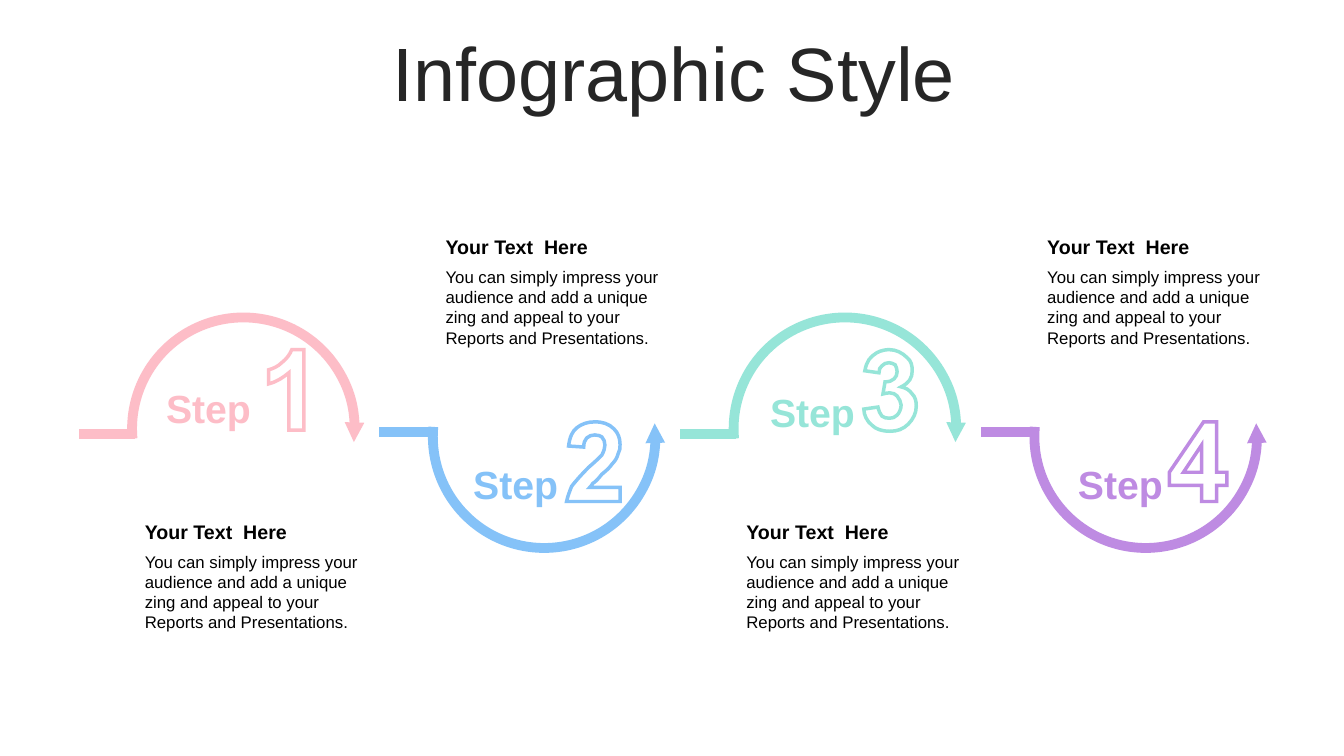
from lxml.etree import Element, SubElement
from pptx import Presentation
from pptx.dml.color import RGBColor
from pptx.enum.shapes import MSO_CONNECTOR as Connector, MSO_SHAPE as Shape
from pptx.enum.text import MSO_ANCHOR as Anchor, MSO_AUTO_SIZE as AutoSize, PP_ALIGN as Align
from pptx.oxml.ns import qn
from pptx.util import Cm, Pt

PITCH = 7.58
ARC_SIZE = 5.61
GLYPH_UNIT = Cm(0.0254)
HEADING = "Your Text  Here"
BODY = ("You can simply impress your audience and add a unique zing "
        "and appeal to your Reports and Presentations.")

ONE = [[(23, 0), (35, 0), (35, 80), (20, 80), (20, 23), (14, 28, 8, 32, 0, 34),
        (0, 20), (4, 19, 9, 17, 13, 13), (18, 9, 21, 5, 23, 0)]]
TWO = [[(28, 0), (36, 0, 42, 2, 47, 7), (51, 11, 53, 16, 53, 22),
        (53, 26, 53, 29, 51, 32), (50, 36, 48, 39, 45, 42),
        (43, 45, 40, 48, 35, 52), (31, 57, 28, 60, 26, 61),
        (25, 63, 24, 64, 23, 65), (53, 65), (53, 79), (0, 79),
        (1, 74, 3, 69, 5, 64), (8, 60, 14, 53, 22, 45),
        (29, 39, 33, 35, 35, 33), (37, 29, 38, 26, 38, 23),
        (38, 20, 37, 17, 35, 15), (34, 14, 31, 13, 28, 13),
        (25, 13, 22, 14, 20, 16), (18, 18, 17, 21, 17, 25), (2, 24),
        (3, 15, 6, 9, 10, 6), (15, 2, 21, 0, 28, 0)]]
THREE = [[(25, 0), (32, 0, 38, 3, 43, 8), (47, 11, 48, 16, 48, 21),
          (48, 28, 45, 33, 37, 37), (42, 38, 45, 40, 48, 44),
          (51, 47, 52, 51, 52, 56), (52, 63, 49, 69, 44, 74),
          (39, 79, 33, 81, 26, 81), (18, 81, 12, 79, 8, 75),
          (3, 71, 0, 65, 0, 59), (14, 57), (15, 61, 16, 64, 18, 66),
          (20, 68, 23, 68, 25, 68), (29, 68, 31, 67, 33, 65),
          (35, 63, 37, 59, 37, 55), (37, 52, 35, 49, 33, 46),
          (31, 44, 29, 43, 26, 43), (24, 43, 22, 43, 19, 44), (21, 32),
          (25, 32, 28, 31, 30, 29), (32, 27, 33, 25, 33, 22),
          (33, 19, 32, 17, 31, 15), (29, 14, 27, 13, 25, 13),
          (22, 13, 20, 14, 18, 16), (16, 17, 15, 20, 15, 23), (1, 21),
          (2, 16, 3, 13, 5, 10), (7, 7, 10, 5, 13, 3), (17, 1, 21, 0, 25, 0)]]
FOUR = [[(32, 23), (14, 50), (32, 50)],
        [(34, 0), (47, 0), (47, 50), (57, 50), (57, 63), (47, 63), (47, 79),
         (32, 79), (32, 63), (0, 63), (0, 50)]]

STEPS = [
    ("FDBDC7", ONE, (6.77, 8.81), (3.91, 9.55)),
    ("85C2F8", TWO, (14.28, 10.63), (11.65, 11.46)),
    ("96E5D8", THREE, (21.77, 8.81), (19.13, 9.65)),
    ("BE8BE2", FOUR, (29.47, 10.63), (26.89, 11.46)),
]


def color(value):
    return RGBColor.from_string(value)


def curve(values):
    element = Element(qn("a:cubicBezTo"))
    for x, y in zip(values[::2], values[1::2]):
        SubElement(element, qn("a:pt"), x=str(x), y=str(y))
    return element


class Canvas:
    font = "Arial"
    track_width = 7
    digit_width = 2.5

    def __init__(self, slide):
        self.slide = slide

    def stroke(self, shape, stroke_color, width):
        shape.line.color.rgb = color(stroke_color)
        shape.line.width = Pt(width)

    def text(self, left, top, width, height, content, size, text_color="000000",
             bold=False, align=Align.LEFT, anchor=Anchor.TOP, wrap=True, grow=True):
        box = self.slide.shapes.add_textbox(Cm(left), Cm(top), Cm(width), Cm(height))
        frame = box.text_frame
        frame.word_wrap = wrap
        frame.auto_size = AutoSize.SHAPE_TO_FIT_TEXT if grow else AutoSize.NONE
        frame.vertical_anchor = anchor
        paragraph = frame.paragraphs[0]
        paragraph.alignment = align
        run = paragraph.add_run()
        run.text = content
        run.font.name = self.font
        run.font.size = Pt(size)
        run.font.bold = bold
        run.font.color.rgb = color(text_color)
        return paragraph

    def arc(self, left, top, arc_color, below):
        shape = self.slide.shapes.add_shape(
            Shape.ARC, Cm(left), Cm(top), Cm(ARC_SIZE), Cm(ARC_SIZE))
        shape.shadow.inherit = False
        shape.adjustments[0] = 103.88
        shape.adjustments[1] = 3.02
        shape.fill.background()
        self.stroke(shape, arc_color, self.track_width)
        properties = shape._element.spPr
        frame = properties.find(qn("a:xfrm"))
        frame.set("flipH", "1")
        if below:
            frame.set("flipV", "1")
        SubElement(properties.find(qn("a:ln")), qn("a:headEnd"),
                   type="triangle", w="sm", len="sm")

    def line(self, start_x, end_x, y, line_color):
        connector = self.slide.shapes.add_connector(
            Connector.STRAIGHT, Cm(start_x), Cm(y), Cm(end_x), Cm(y))
        self.stroke(connector, line_color, self.track_width)
        SubElement(connector._element.spPr, qn("a:effectLst"))

    def digit(self, left, top, contours, digit_color):
        builder = self.slide.shapes.build_freeform(*contours[0][0], scale=GLYPH_UNIT)
        for contour in contours:
            if contour is not contours[0]:
                builder.move_to(*contour[0])
            builder.add_line_segments([segment[-2:] for segment in contour[1:]], close=True)
        shape = builder.convert_to_shape(Cm(left), Cm(top))
        shape.shadow.inherit = False
        shape.fill.background()
        self.stroke(shape, digit_color, self.digit_width)
        properties = shape._element.spPr
        SubElement(properties.find(qn("a:ln")), qn("a:miter"), lim="800000")
        segments = [segment for contour in contours for segment in contour[1:]]
        straight_lines = list(properties.iter(qn("a:lnTo")))
        for straight, segment in zip(straight_lines, segments):
            if len(segment) == 6:
                straight.getparent().replace(straight, curve(segment))


def main():
    presentation = Presentation()
    presentation.slide_width = Cm(33.87)
    presentation.slide_height = Cm(19.05)
    canvas = Canvas(presentation.slides.add_slide(presentation.slide_layouts[6]))

    title = canvas.text(0.9, 0.94, 32.16, 2.01, "Infographic Style", 54, "262626",
                        align=Align.CENTER, anchor=Anchor.MIDDLE, grow=False)
    title.line_spacing = 0.9

    for index, (step_color, contours, digit_at, label_at) in enumerate(STEPS):
        shift = index * PITCH
        below = index % 2 == 1
        canvas.arc(3.33 + shift, 8.2 if below else 8, step_color, below)
        canvas.line(3.4 + shift, 1.98 + shift, 10.89 if below else 10.93, step_color)
        canvas.digit(*digit_at, contours, step_color)
        canvas.text(*label_at, 2.69, 1.45, "Step", 28, step_color, bold=True,
                    align=Align.CENTER, anchor=Anchor.MIDDLE, wrap=False)
        heading_top, body_top = (5.79, 6.6) if below else (12.98, 13.77)
        canvas.text(3.4 + shift, heading_top, 6.35, 0.86, HEADING, 14, bold=True)
        canvas.text(3.4 + shift, body_top, 6.35, 2.31, BODY, 12)

    presentation.save("out.pptx")


if __name__ == "__main__":
    main()
